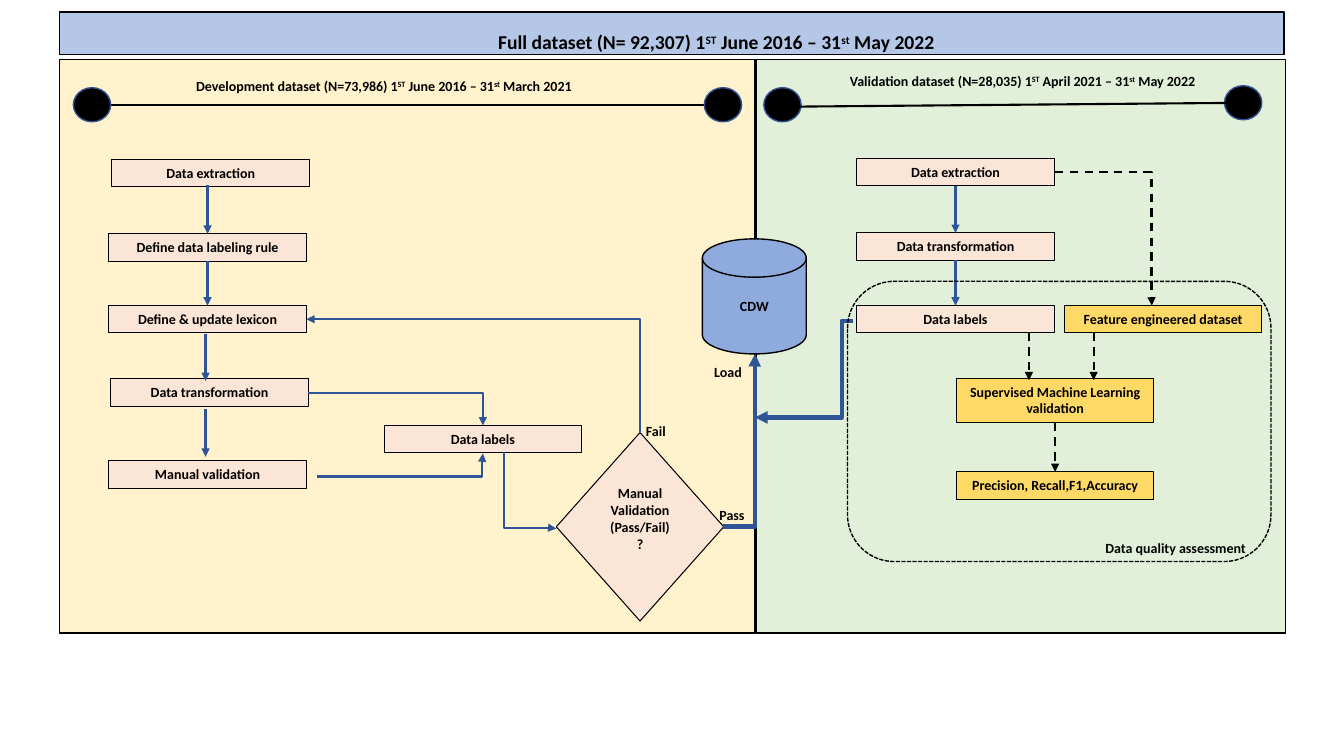
from lxml import etree
from pptx import Presentation
from pptx import util as u
from pptx.dml.color import RGBColor
from pptx.enum import dml, shapes, text
from pptx.oxml.ns import qn

Cm, Pt = u.Cm, u.Pt
SHAPE, LINK, DASH = shapes.MSO_SHAPE, shapes.MSO_CONNECTOR, dml.MSO_LINE
TOP, LEFT, BOTTOM, RIGHT = range(4)

BLACK = RGBColor(0, 0, 0)
BLUE = RGBColor(0x2F, 0x55, 0x97)
DOT_EDGE = RGBColor(0x32, 0x54, 0x91)
HEADER = RGBColor(0xB4, 0xC7, 0xE7)
DISK = RGBColor(0x8F, 0xAA, 0xDC)
CREAM = RGBColor(0xFF, 0xF2, 0xCC)
GREEN = RGBColor(0xE2, 0xF0, 0xD9)
PEACH = RGBColor(0xFB, 0xE5, 0xD6)
GOLD = RGBColor(0xFF, 0xD9, 0x66)

BOX_W, BOX_H = 4.98, 0.69


def write(sp, lines, size=10, align=text.PP_ALIGN.CENTER, grow=True):
    """Fill a shape with bold lines; parts between carets are superscript."""
    tf = sp.text_frame
    tf.word_wrap = True
    if grow:
        tf.auto_size = text.MSO_AUTO_SIZE.SHAPE_TO_FIT_TEXT
        tf.vertical_anchor = text.MSO_ANCHOR.TOP
    else:
        tf.vertical_anchor = text.MSO_ANCHOR.MIDDLE
    for i, line in enumerate(lines.split("\n")):
        p = tf.add_paragraph() if i else tf.paragraphs[0]
        p.alignment = align
        for j, part in enumerate(line.split("^")):
            r = p.add_run()
            r.text = part
            r.font.name, r.font.size, r.font.bold = "Calibri", Pt(size), True
            r.font.color.rgb = BLACK
            if j % 2:
                r._r.get_or_add_rPr().set("baseline", "30000")


def shape(s, kind, x, y, w, h, fill=None, edge=BLACK, width=1):
    sp = s.shapes.add_shape(kind, Cm(x), Cm(y), Cm(w), Cm(h))
    sp.shadow.inherit = False
    if fill is None:
        sp.fill.background()
    else:
        sp.fill.solid()
        sp.fill.fore_color.rgb = fill
    sp.line.color.rgb = edge
    sp.line.width = Pt(width)
    return sp


def box(s, label, x, y, fill=PEACH, h=BOX_H):
    sp = shape(s, SHAPE.RECTANGLE, x, y, BOX_W, h, fill, width=0.75)
    write(sp, label)
    return sp


def label(s, words, x, y, w, h=0.69, size=10, align=text.PP_ALIGN.LEFT):
    write(s.shapes.add_textbox(Cm(x), Cm(y), Cm(w), Cm(h)), words, size, align)


def link(s, start, end, color=BLUE, width=1.5, dash=None, arrow=True,
         kind=LINK.STRAIGHT):
    """Join two ends, each a point in cm or a (shape, side) pair."""
    a, b = [(0, 0) if hasattr(e[0], "shape_id") else e for e in (start, end)]
    cn = s.shapes.add_connector(kind, Cm(a[0]), Cm(a[1]), Cm(b[0]), Cm(b[1]))
    if a is not start:
        cn.begin_connect(*start)
    if b is not end:
        cn.end_connect(*end)
    cn.line.color.rgb = color
    cn.line.width = Pt(width)
    if dash:
        cn.line.dash_style = dash
    if arrow:
        etree.SubElement(cn.line._get_or_add_ln(), qn("a:tailEnd"), type="triangle")
    etree.SubElement(cn._element.spPr, qn("a:effectLst"))
    return cn


def elbow(s, start, end, bend=None, upright=False, **style):
    """Bent link; bend is the turning point, None a single corner."""
    cn = link(s, start, end, kind=LINK.ELBOW, **style)
    geom = cn._element.spPr.find(qn("a:prstGeom"))
    if bend is None:
        geom.set("prst", "bentConnector2")
    else:
        guides = geom.find(qn("a:avLst"))
        etree.SubElement(guides, qn("a:gd"), name="adj1",
                         fmla=f"val {round(bend * 100000)}")
    if upright:  # leave vertically: turn the frame by 270 degrees
        x1, y1, x2, y2 = cn.begin_x, cn.begin_y, cn.end_x, cn.end_y
        mx, my = (x1 + x2) // 2, (y1 + y2) // 2
        dx, dy = (x2 - x1) // 2, (y2 - y1) // 2
        cn.begin_x, cn.end_x = mx + dy, mx - dy
        cn.begin_y, cn.end_y = my - dx, my + dx
        cn._element.spPr.find(qn("a:xfrm")).set("rot", str(270 * 60000))


def timelines(s):
    link(s, (2.06, 2.64), (18.21, 2.64), BLACK, arrow=False)
    for x, y in ((1.85, 2.21), (17.75, 2.21), (19.25, 2.21), (30.86, 2.16)):
        shape(s, SHAPE.FLOWCHART_CONNECTOR, x, y, 0.94, 0.86, BLACK, DOT_EDGE)
    link(s, (19.71, 2.69), (31.34, 2.59), BLACK, arrow=False)
    centre = text.PP_ALIGN.CENTER
    label(s, "Development dataset (N=73,986) 1^ST^ June 2016 – 31^st^ March 2021",
          3.96, 1.83, 11.43, align=centre)
    label(s, "Validation dataset (N=28,035) 1^ST^ April 2021 – 31^st^ May 2022",
          20.55, 1.7, 10.44, align=centre)
    shape(s, SHAPE.RECTANGLE, 1.5, 0.3, 30.86, 1.07, HEADER)
    label(s, "Full dataset (N= 92,307) 1^ST^ June 2016 – 31^st^ May 2022",
          11.23, 0.64, 13.64, 0.86, 14, centre)


def development(s):
    rule = box(s, "Define data labeling rule", 2.74, 5.89)
    lexicon = box(s, "Define & update lexicon", 2.74, 7.7)
    box(s, "Data extraction", 2.82, 4.01)
    transform = box(s, "Data transformation", 2.79, 9.55)
    box(s, "Manual validation", 2.74, 11.61)
    labels = box(s, "Data labels", 9.68, 10.72)
    check = shape(s, SHAPE.FLOWCHART_DECISION, 14.02, 10.9, 4.22, 4.75, PEACH, width=0.75)
    write(check, "Manual Validation\n(Pass/Fail)\n?")
    disk = shape(s, SHAPE.FLOWCHART_MAGNETIC_DISK, 17.7, 6.02, 2.62, 2.9, DISK)
    write(disk, "CDW", grow=False)

    # Steps down the column
    link(s, (5.23, 4.67), (rule, TOP))
    link(s, (rule, BOTTOM), (lexicon, TOP))
    link(s, (5.18, 8.41), (5.18, 9.6))
    link(s, (5.18, 10.31), (5.18, 11.51))

    # Labelling, check and its two outcomes
    elbow(s, (7.98, 12.01), (12.17, 11.43), 0.996)
    elbow(s, (transform, RIGHT), (labels, TOP))
    elbow(s, (12.7, 11.4), (14.02, 13.32), 0.99, upright=True)
    elbow(s, (check, TOP), (lexicon, RIGHT), upright=True)
    elbow(s, (18.21, 13.27), (19.03, 8.92), 0.99, width=3)
    label(s, "Pass", 17.88, 12.65, 1.4)
    label(s, "Fail", 16.03, 10.52, 1.4)
    label(s, "Load", 17.75, 9.04, 1.4)


def validation(s):
    extract, transform, labels = [
        box(s, name, 21.59, y) for name, y in
        (("Data extraction", 3.99), ("Data transformation", 5.87), ("Data labels", 7.7))]
    box(s, "Feature engineered dataset", 26.82, 7.7, GOLD)
    model = box(s, "Supervised Machine Learning validation", 24.1, 9.53, GOLD, 1.12)
    scores = box(s, "Precision, Recall,F1,Accuracy", 24.1, 11.89, GOLD)
    link(s, (extract, BOTTOM), (transform, TOP))
    link(s, (transform, BOTTOM), (labels, TOP))
    elbow(s, (21.51, 8.08), (19.03, 10.52), 0.12, width=3)

    # Quality assessment area and its dashed links
    area = shape(s, SHAPE.ROUNDED_RECTANGLE, 21.36, 7.09, 10.67, 7.06)
    area.line.dash_style = DASH.SQUARE_DOT
    dashed = {"color": BLACK, "dash": DASH.DASH}
    for x in (25.93, 27.56):
        link(s, (x, 8.38), (x, 9.58), **dashed)
    link(s, (model, BOTTOM), (scores, TOP), **dashed)
    elbow(s, (26.59, 4.34), (29.03, 7.7), 0.996, **dashed)
    label(s, "Data quality assessment", 27.61, 13.46, 4.19)


def main():
    prs = Presentation()
    prs.slide_width, prs.slide_height = Cm(33.87), Cm(19.05)
    s = prs.slides.add_slide(prs.slide_layouts[6])
    # Background panels
    shape(s, SHAPE.FLOWCHART_PROCESS, 19.05, 1.5, 13.34, 14.45, GREEN)
    shape(s, SHAPE.FLOWCHART_PROCESS, 1.5, 1.5, 17.53, 14.45, CREAM)
    timelines(s)
    development(s)
    validation(s)
    prs.save("out.pptx")


if __name__ == "__main__":
    main()
